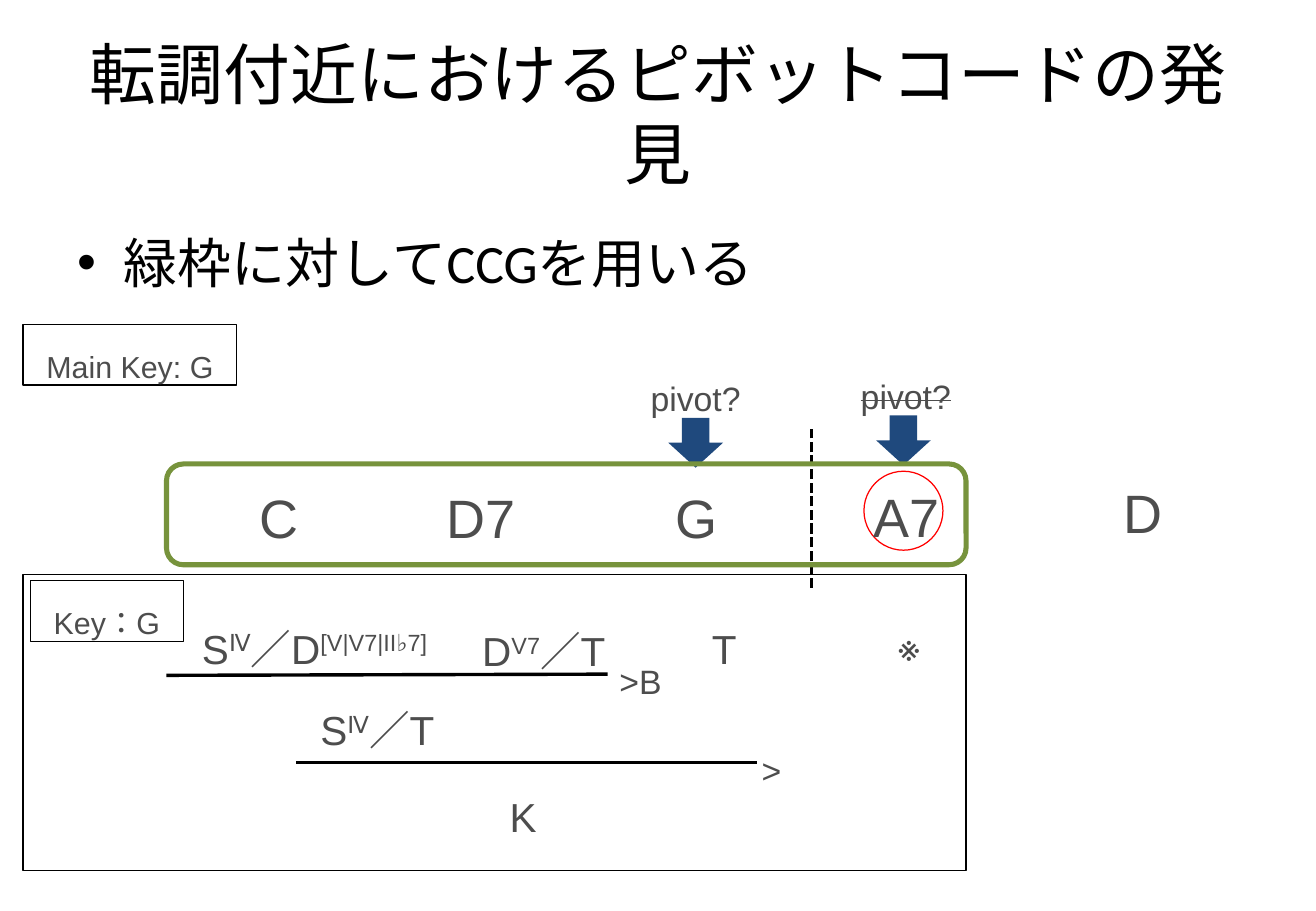
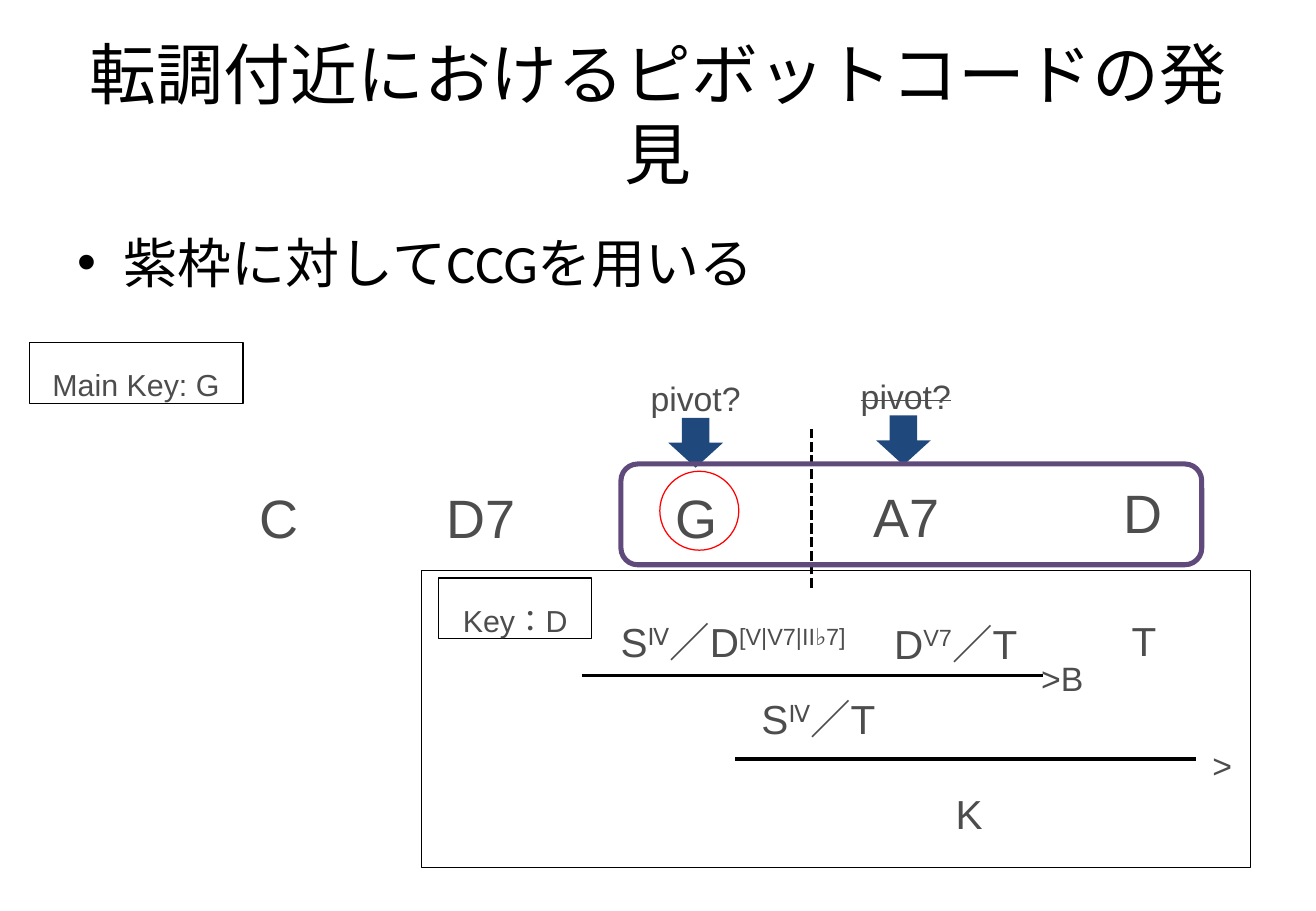
from lxml import etree
from pptx import Presentation
from pptx import util as u
from pptx.dml.color import RGBColor
from pptx.enum import dml, lang, shapes, text
from pptx.oxml.ns import qn

PX = 9144
PX_PER_POINT = 100 / 72
BLACK, GREY, NAVY, RED = "000000", "4D4D4D", "1F497D", "FF0000"
GREEN, PURPLE = "77933C", "604A7B"

TITLE = "転調付近におけるピボットコードの発見"
CHORDS = [("C", 181, 368), ("D7", 347, 368), ("G", 525, 368),
          ("A7", 698, 367), ("D", 892, 364)]
PIVOTS = [(478, 290, 550, 344, False), (651, 288, 721, 342, True)]
MODULATION = (668, 484, 668, 353)

# Odd entries of each formula are superscripts.
SUBDOMINANT = ("S", "Ⅳ", "／D", "[V|V7|II♭7]")
DOMINANT = ("D", "V7", "／T")
COMPOSED = ("S", "Ⅳ", "／T")

SLIDES = [
    {
        "bullet": "緑枠に対してCCGを用いる",
        "main_key": (19, 267), "key": ("Key：G", 25, 478),
        "frame": (137, 382, 658, 83), "frame_color": GREEN,
        "circle": (711, 388), "panel": (19, 473, 776, 244),
        "formulas": [(SUBDOMINANT, 111, 489, 296), (DOMINANT, 353, 491, 189),
                     (("T",), 541, 489, 110), (("※",), 654, 487, 189),
                     (COMPOSED, 216, 556, 189), (("K",), 336, 628, 189)],
        "rules": [(137, 556, 500, 555), (244, 628, 623, 628)],
        "combinators": [(">B", 500, 523, 83), (">", 617, 596, 50)],
    },
    {
        "bullet": "紫枠に対してCCGを用いる",
        "main_key": (24, 282), "key": ("Key：D", 361, 476),
        "frame": (511, 382, 478, 83), "frame_color": PURPLE,
        "circle": (543, 388), "panel": (347, 470, 682, 244),
        "formulas": [(SUBDOMINANT, 471, 484, 265), (DOMINANT, 692, 485, 189),
                     (("T",), 874, 483, 135),
                     (COMPOSED, 579, 547, 189), (("K",), 703, 625, 189)],
        "rules": [(479, 556, 858, 556), (605, 625, 984, 625)],
        "combinators": [(">B", 847, 520, 83), (">", 988, 592, 50)],
    },
]


def px(*lengths):
    return [round(length * PX) for length in lengths]


def rgb(value):
    return RGBColor.from_string(value)


def write(shape, parts, size, color=GREY, font="Arial", align="CENTER",
          spacing=1.4, lead=0.1, anchor="TOP", bullet=False, strike=False):
    frame = shape.text_frame
    frame.word_wrap = True
    frame.vertical_anchor = getattr(text.MSO_ANCHOR, anchor)
    frame.margin_top = px(5 + size * lead * PX_PER_POINT)[0]
    paragraph = frame.paragraphs[0]
    paragraph.alignment = getattr(text.PP_ALIGN, align)
    paragraph.line_spacing = spacing
    if bullet:
        properties = paragraph._p.get_or_add_pPr()
        hang = px(38)[0]
        properties.set("marL", str(hang))
        properties.set("indent", str(-hang))
        etree.SubElement(properties, qn("a:buFont")).set("typeface", "Arial")
        etree.SubElement(properties, qn("a:buChar")).set("char", "•")
    paragraph.font.size = u.Pt(size)
    paragraph.font.name = font
    paragraph.font.color.rgb = rgb(color)
    paragraph.font.language_id = lang.MSO_LANGUAGE_ID.JAPANESE
    for index, part in enumerate(parts):
        run = paragraph.add_run()
        run.text = part
        if index % 2:
            run._r.get_or_add_rPr().set("baseline", "30000")
        if strike:
            run._r.get_or_add_rPr().set("strike", "sngStrike")


def label(slide, box, parts, size, **style):
    write(slide.shapes.add_textbox(*px(*box)), parts, size, **style)


def outline(slide, kind, box, color=BLACK, width=0.75, fill=None):
    shape = slide.shapes.add_shape(getattr(shapes.MSO_SHAPE, kind), *px(*box))
    shape.shadow.inherit = False
    if fill:
        shape.fill.solid()
        shape.fill.fore_color.rgb = rgb(fill)
        shape.line.fill.background()
    else:
        shape.fill.background()
        shape.line.color.rgb = rgb(color)
        shape.line.width = u.Pt(width)
    return shape


def rule(slide, ends, dash=None):
    line = slide.shapes.add_connector(shapes.MSO_CONNECTOR.STRAIGHT, *px(*ends))
    line.line.color.rgb = rgb(BLACK)
    line.line.width = u.Pt(2)
    if dash:
        line.line.dash_style = dash
    etree.SubElement(line._element.spPr, qn("a:effectLst"))


def draw_progression(slide, content):
    label(slide, (54, 30, 975, 125), [TITLE], 39.6, color=BLACK, font="Calibri",
          spacing=1.0, lead=0, anchor="MIDDLE")
    label(slide, (54, 175, 975, 495), [content["bullet"]], 32, color=BLACK,
          font="Calibri", align="LEFT", spacing=1.0, lead=0.2, bullet=True)
    outline(slide, "OVAL", (*content["circle"], 65, 65), RED)
    for chord, left, top in CHORDS:
        label(slide, (left, top, 97, 82), [chord], 32)
    write(outline(slide, "RECTANGLE", (*content["main_key"], 176, 50)),
          ["Main Key: G"], 18)
    rule(slide, MODULATION, dml.MSO_LINE.SQUARE_DOT)
    for left, top, arrow_left, arrow_top, rejected in PIVOTS:
        outline(slide, "DOWN_ARROW", (arrow_left, arrow_top, 45, 41), fill=NAVY)
        label(slide, (left, top, 189, 55), ["pivot?"], 20, strike=rejected)
    outline(slide, "ROUNDED_RECTANGLE", content["frame"],
            content["frame_color"], 3)


def draw_derivation(slide, content):
    outline(slide, "RECTANGLE", content["panel"])
    key, left, top = content["key"]
    write(outline(slide, "RECTANGLE", (left, top, 126, 50)), [key], 18)
    for formula, left, top, width in content["formulas"]:
        label(slide, (left, top, width, 64), formula, 24)
    for ends in content["rules"]:
        rule(slide, ends)
    for combinator, left, top, width in content["combinators"]:
        label(slide, (left, top, width, 55), [combinator], 20, align="LEFT")


def main():
    deck = Presentation()
    deck.slide_width, deck.slide_height = px(1083, 750)
    for content in SLIDES:
        slide = deck.slides.add_slide(deck.slide_layouts[6])
        draw_progression(slide, content)
        draw_derivation(slide, content)
    deck.save("out.pptx")


if __name__ == "__main__":
    main()
